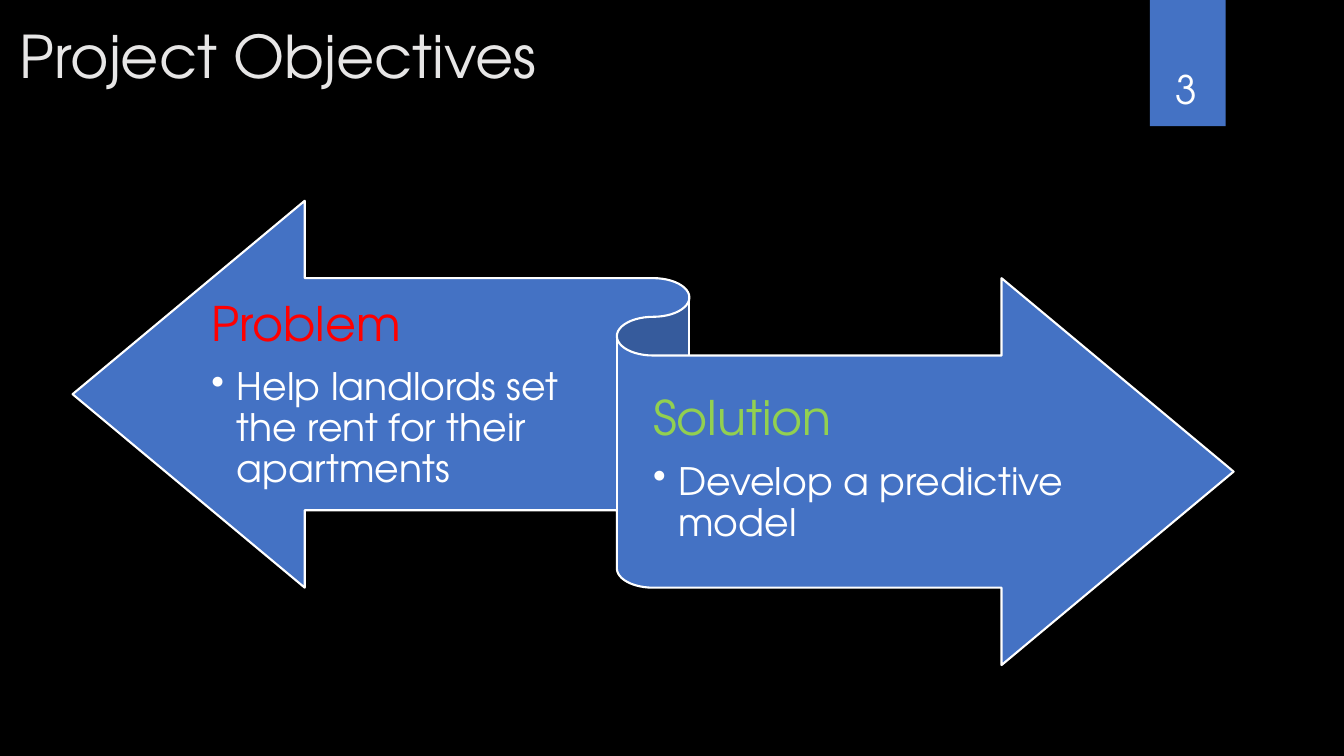
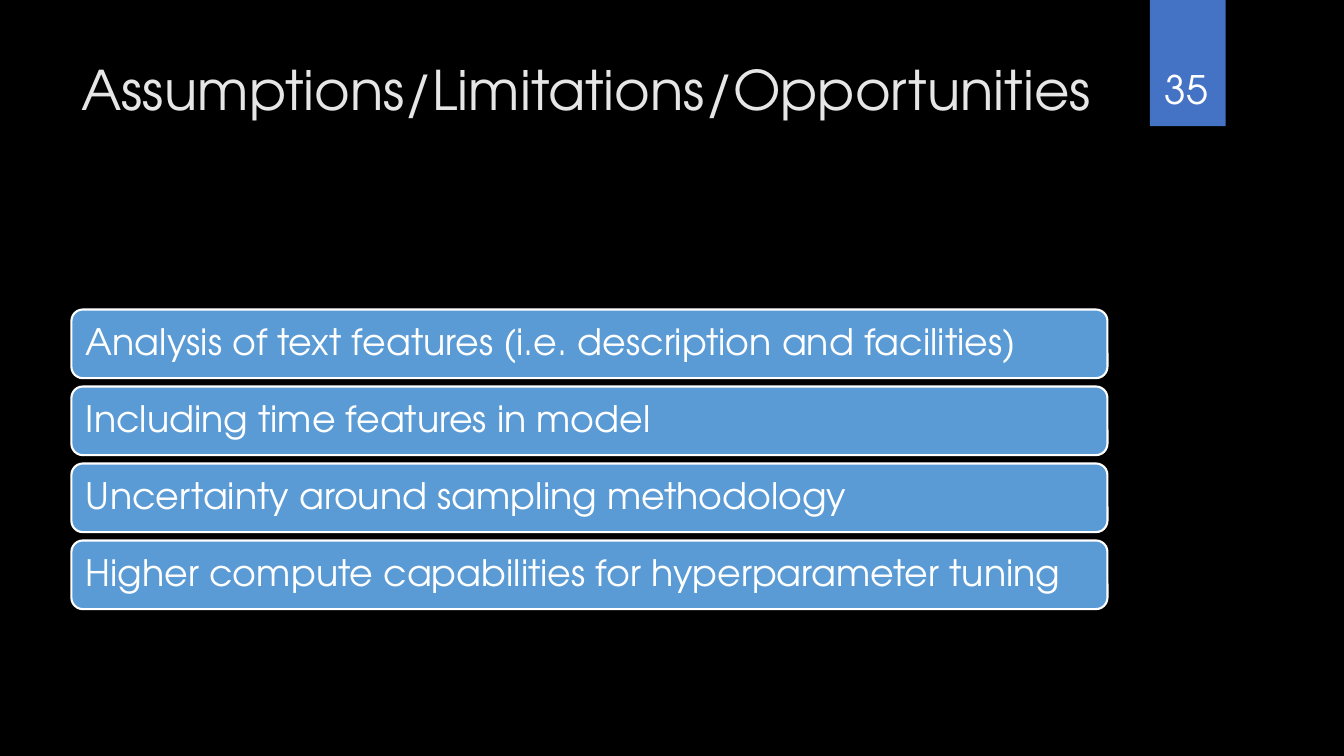
"""Build two dark slides: project objectives and assumptions."""
from lxml import etree
from pptx import Presentation
from pptx.dml.color import RGBColor
from pptx.enum.shapes import MSO_SHAPE
from pptx.enum.text import MSO_ANCHOR, PP_ALIGN
from pptx.oxml.ns import qn
from pptx.util import Cm, Pt

RECTANGLE = MSO_SHAPE.RECTANGLE
ROUNDED = MSO_SHAPE.ROUNDED_RECTANGLE
RIBBON = MSO_SHAPE.LEFT_RIGHT_RIBBON
TOP, MIDDLE, BOTTOM = MSO_ANCHOR.TOP, MSO_ANCHOR.MIDDLE, MSO_ANCHOR.BOTTOM
LEFT, CENTER = PP_ALIGN.LEFT, PP_ALIGN.CENTER

FONT = "TeX Gyre Adventor"
COLORS = {
    "background": "000000",
    "title": "E7E6E6",
    "text": "FFFFFF",
    "accent": "4472C4",
    "bar": "5B9BD5",
    "problem": "FF0000",
    "solution": "92D050",
}
BULLET_INDENT = Cm(0.64)
BAR_LEFT, BAR_TOP, BAR_WIDTH, BAR_HEIGHT = 1.8, 7.8, 26.11, 1.73
BAR_PITCH = 1.94
OPPORTUNITIES = [
    "Analysis of text features (i.e. description and facilities)",
    "Including time features in model",
    "Uncertainty around sampling methodology",
    "Higher compute capabilities for hyperparameter tuning",
]


def color(name):
    return RGBColor.from_string(COLORS[name])


def set_frame(shape, anchor, insets):
    frame = shape.text_frame
    frame.word_wrap = True
    frame.vertical_anchor = anchor
    (frame.margin_left, frame.margin_top,
     frame.margin_right, frame.margin_bottom) = [Cm(inset) for inset in insets]
    return frame


def write(paragraph, text, *, size, tint="text", align=LEFT, spacing=1.0, after=0, bullet=False):
    paragraph.alignment = align
    paragraph.line_spacing = spacing
    paragraph.space_after = Pt(after)
    if bullet:
        paragraph.level = 1
        properties = paragraph._p.get_or_add_pPr()
        properties.set("marL", str(BULLET_INDENT))
        properties.set("indent", str(-BULLET_INDENT))
        etree.SubElement(properties, qn("a:buChar"), char="•")
    run = paragraph.add_run()
    run.text = text
    run.font.name = FONT
    run.font.size = Pt(size)
    run.font.color.rgb = color(tint)


def add_box(slide, kind, left, top, width, height, fill, outlined=True):
    shape = slide.shapes.add_shape(kind, Cm(left), Cm(top), Cm(width), Cm(height))
    shape.shadow.inherit = False
    shape.fill.solid()
    shape.fill.fore_color.rgb = color(fill)
    if outlined:
        shape.line.color.rgb = color("text")
        shape.line.width = Pt(1.5)
    else:
        shape.line.fill.background()
    return shape


def add_text_frame(slide, left, top, width, height, anchor, insets):
    box = slide.shapes.add_textbox(Cm(left), Cm(top), Cm(width), Cm(height))
    return set_frame(box, anchor, insets)


def add_slide(presentation, title, number, left, top, width, size):
    slide = presentation.slides.add_slide(presentation.slide_layouts[6])
    badge = add_box(slide, RECTANGLE, 28.98, 0, 1.91, 3.18, "accent", outlined=False)
    frame = set_frame(badge, BOTTOM, (0, 0, 0.08, 0.36))
    write(frame.paragraphs[0], number, size=28, align=CENTER)
    frame = add_text_frame(slide, left, top, width, 3.8, TOP, (0.25, 0.13, 0.25, 0.13))
    write(frame.paragraphs[0], title, size=size, tint="title")
    return slide


def add_ribbon_text(slide, left, top, width, heading, tint, detail):
    frame = add_text_frame(slide, left, top, width, 5.74, MIDDLE, (0, 0.33, 0, 0.36))
    write(frame.paragraphs[0], heading, size=34, tint=tint, spacing=0.9, after=12)
    write(frame.add_paragraph(), detail, size=27, spacing=0.9, after=4, bullet=True)


def add_bar(slide, index, text):
    bar = add_box(slide, ROUNDED, BAR_LEFT, BAR_TOP + index * BAR_PITCH,
                  BAR_WIDTH, BAR_HEIGHT, "bar")
    frame = set_frame(bar, MIDDLE, (0.28,) * 4)
    write(frame.paragraphs[0], text, size=26, spacing=0.9)


def main():
    presentation = Presentation()
    presentation.slide_width, presentation.slide_height = Cm(33.87), Cm(19.05)
    background = presentation.slide_master.background.fill
    background.solid()
    background.fore_color.rgb = color("background")

    objectives = add_slide(presentation, "Project Objectives", "3", 0.25, 0.36, 28.7, 42)
    add_box(objectives, RIBBON, 1.83, 5.06, 29.26, 11.7, "accent")
    add_ribbon_text(objectives, 5.33, 7.11, 9.65, "Problem", "problem",
                    "Help landlords set the rent for their apartments")
    add_ribbon_text(objectives, 16.46, 8.97, 11.4, "Solution", "solution",
                    "Develop a predictive model")

    assumptions = add_slide(presentation, "Assumptions/Limitations/Opportunities", "35",
                            1.8, 1.27, 26.14, 39)
    for index, text in enumerate(OPPORTUNITIES):
        add_bar(assumptions, index, text)

    presentation.save("out.pptx")


if __name__ == "__main__":
    main()
